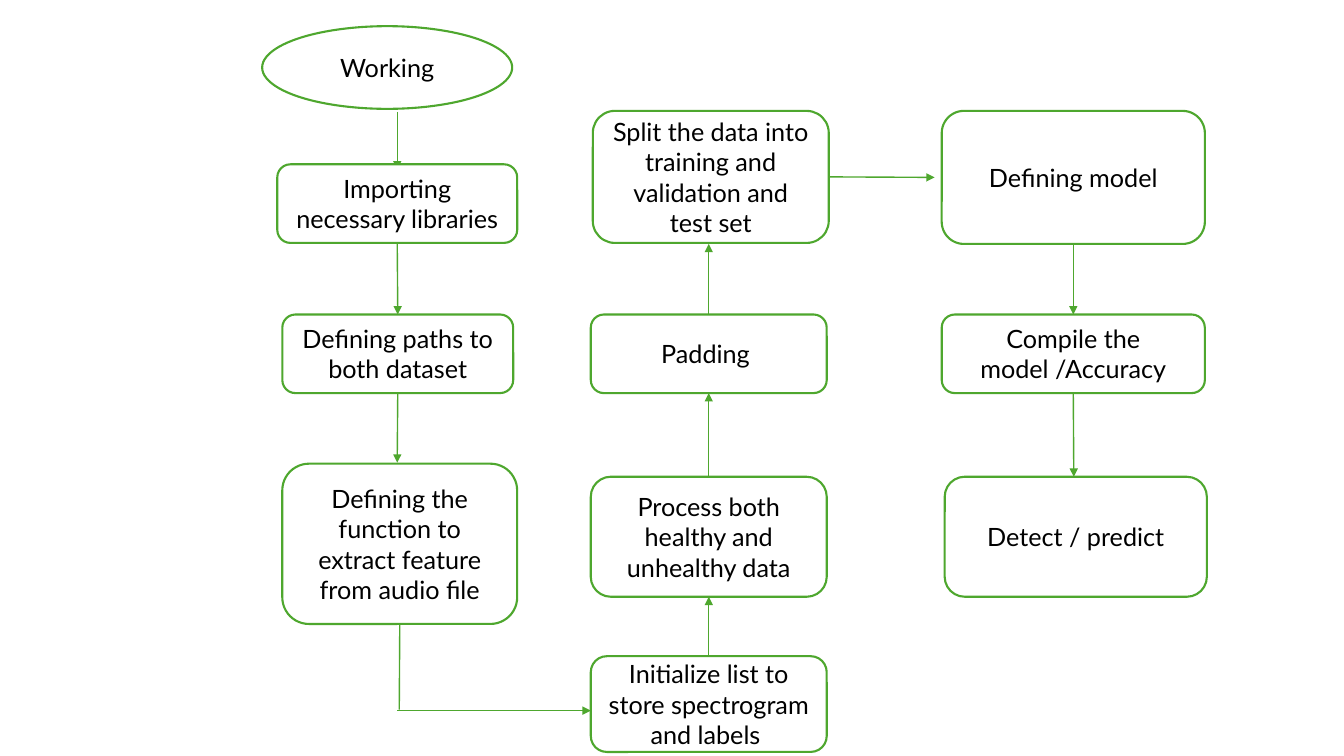
from lxml import etree
from pptx import Presentation
from pptx.dml.color import RGBColor
from pptx.enum.shapes import MSO_CONNECTOR, MSO_SHAPE
from pptx.enum.text import MSO_ANCHOR, PP_ALIGN
from pptx.oxml.ns import qn
from pptx.util import Pt

EMU_PER_PX = 9144
TOP, LEFT, BOTTOM, RIGHT = range(4)


def px(length):
    return length * EMU_PER_PX


def color(hex_code):
    return RGBColor.from_string(hex_code)


class FlowChart:
    FONT, TEXT_SIZE = "Lato", 18
    GREEN, WHITE, BLACK = "4EA72E", "FFFFFF", "000000"

    def __init__(self, slide):
        self.shapes = slide.shapes

    def step(self, text, x, y, width, height, outline=MSO_SHAPE.ROUNDED_RECTANGLE):
        box = self.shapes.add_shape(outline, px(x), px(y), px(width), px(height))
        box.shadow.inherit = False
        box.fill.solid()
        box.fill.fore_color.rgb = color(self.WHITE)
        box.line.color.rgb = color(self.GREEN)
        box.line.width = Pt(1.5)
        frame = box.text_frame
        frame.word_wrap = True
        frame.vertical_anchor = MSO_ANCHOR.MIDDLE
        paragraph = frame.paragraphs[0]
        paragraph.alignment = PP_ALIGN.CENTER
        run = paragraph.add_run()
        run.text = text
        run.font.name = self.FONT
        run.font.size = Pt(self.TEXT_SIZE)
        run.font.color.rgb = color(self.BLACK)
        return box

    def flow(self, start, end, arrow=True):
        """Draw a line; each end is an (x, y) point or a (step, side) pair."""
        begin_joined, end_joined = (not isinstance(e[0], int) for e in (start, end))
        begin_at = (0, 0) if begin_joined else start
        end_at = (0, 0) if end_joined else end
        line = self.shapes.add_connector(
            MSO_CONNECTOR.STRAIGHT, *map(px, begin_at), *map(px, end_at))
        if begin_joined:
            line.begin_connect(*start)
        if end_joined:
            line.end_connect(*end)
        line.line.color.rgb = color(self.GREEN)
        line.line.width = Pt(1)
        properties = line._element.spPr
        if arrow:
            outline = properties.find(qn("a:ln"))
            etree.SubElement(outline, qn("a:tailEnd"), type="triangle")
        etree.SubElement(properties, qn("a:effectLst"))


def main():
    deck = Presentation()
    deck.slide_width, deck.slide_height = px(1333), px(750)
    chart = FlowChart(deck.slides.add_slide(deck.slide_layouts[6]))

    chart.step("Working", 260, 26, 248, 82, MSO_SHAPE.OVAL)
    chart.flow((394, 111), (394, 168))
    importing = chart.step("Importing necessary libraries", 275, 163, 238, 78)
    paths = chart.step("Defining paths to both dataset", 280, 312, 229, 78)
    extraction = chart.step(
        "Defining the function to extract feature from audio file", 280, 460, 233, 159)

    spectrograms = chart.step(
        "Initialize list to store spectrogram and labels ", 586, 651, 234, 95)
    processing = chart.step(
        "Process both healthy and unhealthy data", 586, 473, 234, 119)
    padding = chart.step("Padding ", 586, 312, 234, 78)
    splitting = chart.step(
        "Split the data into training and validation and test set", 588, 110, 234, 131)

    model = chart.step("Defining model", 934, 110, 261, 132)
    compiling = chart.step("Compile the model /Accuracy", 934, 312, 261, 78)
    chart.step("Detect / predict", 937, 473, 260, 119)

    chart.flow((importing, BOTTOM), (paths, TOP))
    chart.flow((paths, BOTTOM), (394, 459))
    chart.flow((extraction, BOTTOM), (396, 704), arrow=False)
    chart.flow((394, 705), (586, 705))
    chart.flow((spectrograms, TOP), (processing, BOTTOM))
    chart.flow((processing, TOP), (padding, BOTTOM))
    chart.flow((padding, TOP), (703, 242))
    chart.flow((splitting, RIGHT), (927, 176))
    chart.flow((model, BOTTOM), (compiling, TOP))
    chart.flow((compiling, BOTTOM), (1065, 473))

    deck.save("out.pptx")


if __name__ == "__main__":
    main()
